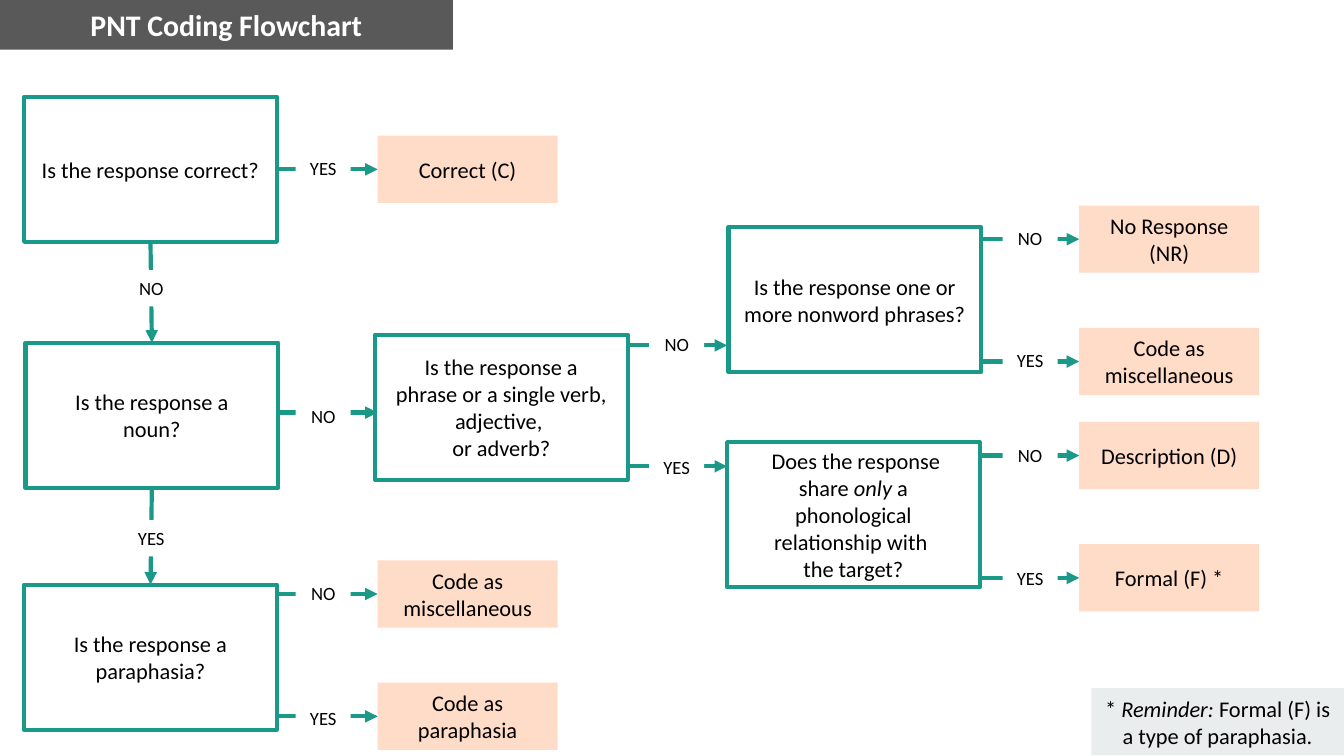
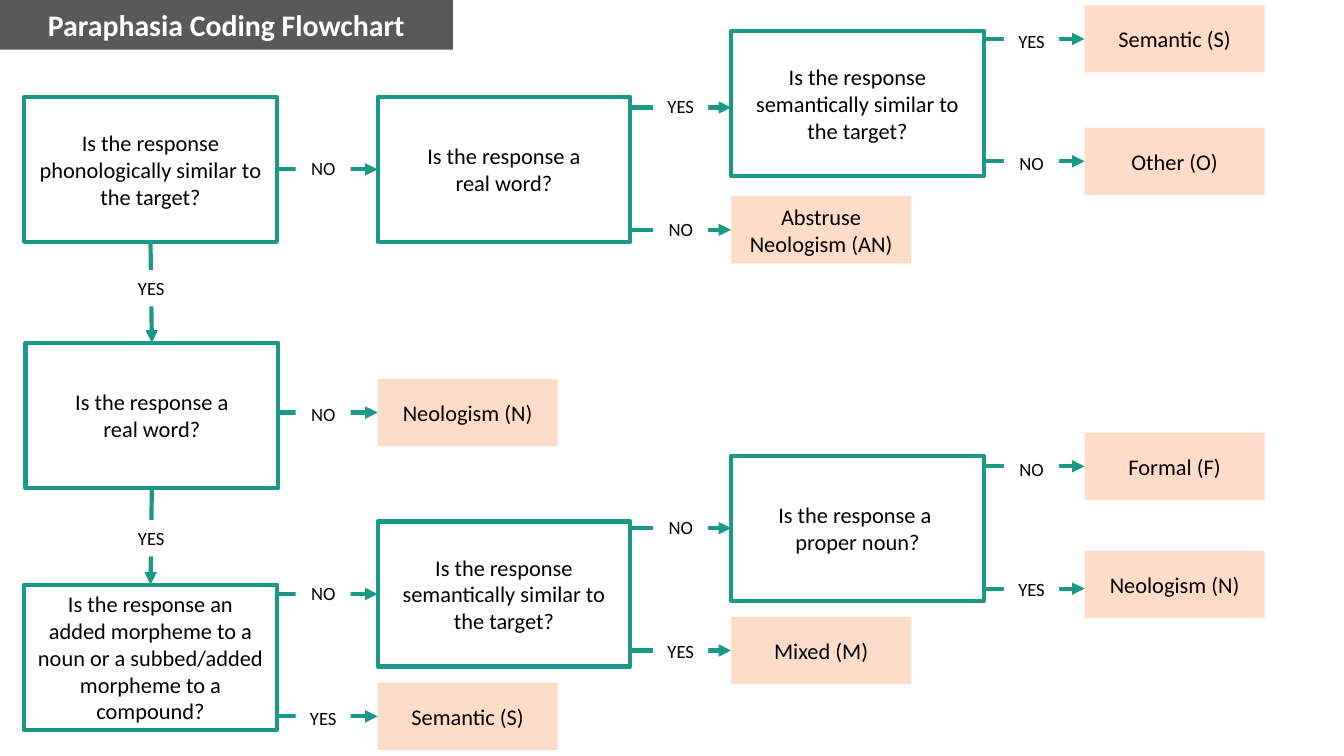
from dataclasses import dataclass

import lxml.etree
import pptx
import pptx.dml.color
import pptx.enum.shapes
import pptx.enum.text
import pptx.oxml.ns
import pptx.util

PX = 9144  # EMU in one px, 100 px to the inch
SLIDE_W = 1000
ARROW_W = 75
LABEL_W, LABEL_H = 41, 27
# Left edge of the label on a sideways arrow, by the x where the arrow starts
LABEL_X = {206: 220, 466: 483, 469: 486, 729: 746, 732: 747}
TOP, LEFT, BOTTOM, RIGHT = range(4)
MIDDLE = pptx.enum.text.MSO_ANCHOR.MIDDLE


@dataclass(frozen=True)
class Theme:
    font: str = "Calibri"
    title_size: int = 16
    body_size: int = 12
    label_size: int = 10
    line_width: float = 2.25
    teal: str = "1A9988"
    peach: str = "FFDCC8"
    band: str = "595959"
    note: str = "E9EDEE"
    white: str = "FFFFFF"
    black: str = "000000"


THEME = Theme()


@dataclass(frozen=True)
class BoxStyle:
    w: int
    h: int
    fill: str | None = None
    line: str | None = None
    size: int = THEME.body_size
    color: str = THEME.black
    bold: bool = False
    middle: bool = True
    inset_y: int = 5
    wrap: bool = True


TITLE = BoxStyle(337, 37, fill=THEME.band, size=THEME.title_size,
                 color=THEME.white, bold=True, middle=False)
QUESTION = BoxStyle(188, 108, line=THEME.teal, inset_y=10)
ANSWER = BoxStyle(134, 50, fill=THEME.peach)
LABEL = BoxStyle(LABEL_W, LABEL_H, fill=THEME.white, size=THEME.label_size,
                 middle=False, wrap=False)
NOTE = BoxStyle(188, 50, fill=THEME.note, inset_y=10)


@dataclass(frozen=True)
class Box:
    """Text in a styled box; _underscores_ mark italics."""
    style: BoxStyle
    x: int
    y: int
    text: str

    def side_middles(self) -> dict[int, tuple[float, float]]:
        w, h = self.style.w, self.style.h
        return {
            TOP: (self.x + w / 2, self.y),
            LEFT: (self.x, self.y + h / 2),
            BOTTOM: (self.x + w / 2, self.y + h),
            RIGHT: (self.x + w, self.y + h / 2),
        }


@dataclass(frozen=True)
class Arrow:
    start: tuple[int, int]
    end: tuple[int, int]
    label: Box


@dataclass(frozen=True)
class Flowchart:
    title: str
    boxes: list[Box]
    arrows: list[Arrow]


def across(x: int, y: int, text: str, label_y: int) -> Arrow:
    return Arrow((x, y), (x + ARROW_W, y), Box(LABEL, LABEL_X[x], label_y, text))


def down_arrows(first: str, second: str) -> list[Arrow]:
    """The two arrows that link the questions of the first column."""
    return [
        Arrow((112, 180), (113, 255), Box(LABEL, 92, 201, first)),
        Arrow((113, 363), (112, 435), Box(LABEL, 92, 387, second)),
    ]


FLOWCHARTS = [
    Flowchart(
        "PNT Coding Flowchart",
        [
            Box(QUESTION, 18, 72, "Is the response correct?"),
            Box(QUESTION, 19, 255, "Is the response a\nnoun?"),
            Box(QUESTION, 18, 435, "Is the response a paraphasia?"),
            Box(QUESTION, 279, 249, "Is the response a\nphrase or a single verb, "
                                    "adjective, \nor adverb?"),
            Box(QUESTION, 542, 169, "Is the response one or more nonword phrases?"),
            Box(QUESTION, 541, 329, " Does the response share _only _a phonological "
                                    "relationship with \nthe target?"),
            Box(ANSWER, 281, 101, "Correct (C)"),
            Box(ANSWER, 281, 417, "Code as miscellaneous"),
            Box(ANSWER, 281, 508, "Code as paraphasia"),
            Box(ANSWER, 803, 153, "No Response (NR)"),
            Box(ANSWER, 803, 244, "Code as miscellaneous"),
            Box(ANSWER, 803, 314, "Description (D)"),
            Box(ANSWER, 803, 405, "Formal (F) *"),
            Box(NOTE, 812, 512, "* _Reminder:_ Formal (F) is a type of paraphasia."),
        ],
        down_arrows("NO", "YES") + [
            across(206, 126, "YES", 112),
            across(206, 307, "NO", 296),
            across(206, 442, "NO", 428),
            across(206, 533, "YES", 521),
            across(466, 257, "NO", 243),
            across(466, 347, "YES", 334),
            across(729, 178, "NO", 164),
            across(729, 269, "YES", 255),
            across(729, 339, "NO", 325),
            across(729, 430, "YES", 417),
        ],
    ),
    Flowchart(
        "Paraphasia Coding Flowchart",
        [
            Box(QUESTION, 18, 72, "Is the response phonologically similar to the target?"),
            Box(QUESTION, 19, 255, "Is the response a\nreal word?"),
            Box(QUESTION, 18, 435, "Is the response an added morpheme to a noun or "
                                   "a subbed/added morpheme to a compound?"),
            Box(QUESTION, 281, 72, "Is the response a\nreal word?"),
            Box(QUESTION, 281, 388, "Is the response semantically similar to the target?"),
            Box(QUESTION, 544, 23, "Is the response semantically similar to the target?"),
            Box(QUESTION, 544, 339, "Is the response a \nproper noun?"),
            Box(ANSWER, 281, 282, "Neologism (N)"),
            Box(ANSWER, 281, 508, "Semantic (S)"),
            Box(ANSWER, 544, 146, "Abstruse\nNeologism (AN)"),
            Box(ANSWER, 544, 459, "Mixed (M)"),
            Box(ANSWER, 807, 4, "Semantic (S)"),
            Box(ANSWER, 807, 95, "Other (O)"),
            Box(ANSWER, 807, 322, "Formal (F)"),
            Box(ANSWER, 807, 410, "Neologism (N)"),
        ],
        down_arrows("YES", "YES") + [
            across(206, 126, "NO", 112),
            across(206, 307, "NO", 295),
            across(206, 442, "NO", 428),
            across(206, 533, "YES", 521),
            across(469, 80, "YES", 66),
            across(469, 171, "NO", 157),
            across(469, 393, "NO", 379),
            across(469, 484, "YES", 471),
            across(732, 29, "YES", 17),
            across(732, 120, "NO", 108),
            across(732, 347, "NO", 336),
            across(732, 438, "YES", 425),
        ],
    ),
]


def rgb(value: str) -> pptx.dml.color.RGBColor:
    return pptx.dml.color.RGBColor.from_string(value)


def write_text(p, text: str) -> None:
    """Add runs to a paragraph, with line breaks and italics."""
    for i, part in enumerate(text.split("_")):
        for j, line in enumerate(part.split("\n")):
            if j:
                p.add_line_break()
            if line:
                r = p.add_run()
                r.text = line
                if i % 2:
                    r.font.italic = True


def draw_box(s, box: Box):
    style = box.style
    sp = s.shapes.add_shape(pptx.enum.shapes.MSO_SHAPE.RECTANGLE,
                            box.x * PX, box.y * PX, style.w * PX, style.h * PX)
    sp.shadow.inherit = False
    if style.fill:
        sp.fill.solid()
        sp.fill.fore_color.rgb = rgb(style.fill)
    else:
        sp.fill.background()
    if style.line:
        sp.line.color.rgb = rgb(style.line)
        sp.line.width = pptx.util.Pt(THEME.line_width)
    else:
        sp.line.fill.background()

    tf = sp.text_frame
    tf.word_wrap = style.wrap
    tf.vertical_anchor = MIDDLE if style.middle else pptx.enum.text.MSO_ANCHOR.TOP
    tf.margin_left = tf.margin_right = 10 * PX
    tf.margin_top = tf.margin_bottom = style.inset_y * PX
    p = tf.paragraphs[0]
    p.alignment = pptx.enum.text.PP_ALIGN.CENTER
    p.font.name = THEME.font
    p.font.size = pptx.util.Pt(style.size)
    p.font.bold = style.bold
    p.font.color.rgb = rgb(style.color)
    write_text(p, box.text)
    return sp


def join(connect, point: tuple[int, int], drawn: list) -> None:
    """Attach a connector end to the box side whose middle it touches."""
    for box, sp in drawn:
        for side, (x, y) in box.side_middles().items():
            if abs(x - point[0]) <= 1 and abs(y - point[1]) <= 1:
                connect(sp, side)
                return


def draw_arrow(s, arrow: Arrow, drawn: list) -> None:
    (x1, y1), (x2, y2) = arrow.start, arrow.end
    line = s.shapes.add_connector(pptx.enum.shapes.MSO_CONNECTOR.STRAIGHT,
                                  x1 * PX, y1 * PX, x2 * PX, y2 * PX)
    line.line.color.rgb = rgb(THEME.teal)
    line.line.width = pptx.util.Pt(THEME.line_width)
    qn = pptx.oxml.ns.qn
    ln = line.line._get_or_add_ln()
    lxml.etree.SubElement(ln, qn("a:tailEnd"), type="triangle")
    lxml.etree.SubElement(line._element.spPr, qn("a:effectLst"))
    join(line.begin_connect, arrow.start, drawn)
    join(line.end_connect, arrow.end, drawn)


def draw_flowchart(prs, chart: Flowchart) -> None:
    s = prs.slides.add_slide(prs.slide_layouts[6])
    draw_box(s, Box(TITLE, 0, 0, chart.title))
    drawn = [(box, draw_box(s, box)) for box in chart.boxes]
    for arrow in chart.arrows:
        draw_arrow(s, arrow, drawn)
        draw_box(s, arrow.label)


def main() -> None:
    prs = pptx.Presentation()
    prs.slide_width = SLIDE_W * PX
    prs.slide_height = prs.slide_width * 9 // 16
    for chart in FLOWCHARTS:
        draw_flowchart(prs, chart)
    prs.save("out.pptx")


if __name__ == "__main__":
    main()
